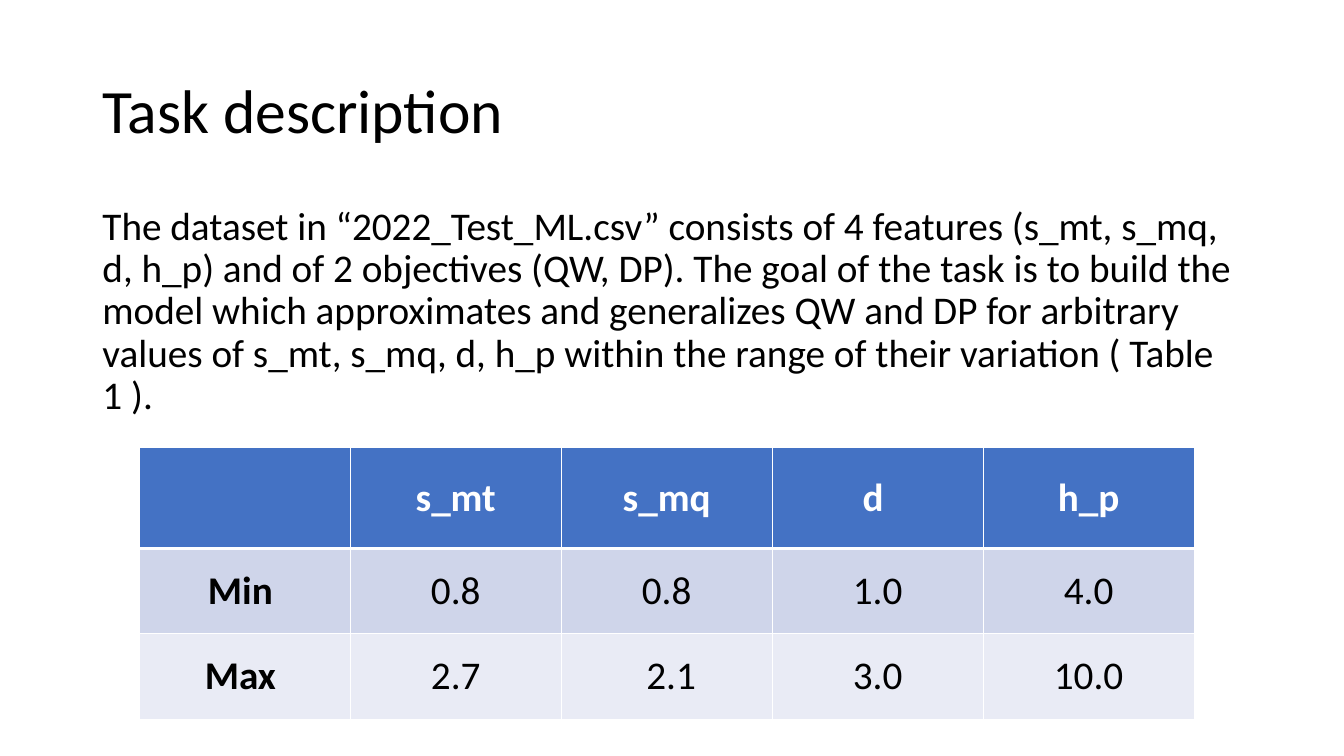
from dataclasses import dataclass

from lxml import etree
from pptx import Presentation
from pptx.dml.color import RGBColor
from pptx.enum import text
from pptx.oxml import ns
from pptx.util import Pt


@dataclass(frozen=True)
class Theme:
    font: str = "Calibri"
    title_size: int = 44
    body_size: int = 28
    dark: str = "000000"
    light: str = "FFFFFF"
    header: str = "4472C4"
    bands: tuple = ("CFD5EA", "E9EBF5")


THEME = Theme()
DESCRIPTION = (
    "The dataset in “2022_Test_ML.csv” consists of 4 features (s_mt, s_mq, d, h_p) "
    "and of 2 objectives (QW, DP). The goal of the task is to build the model which "
    "approximates and generalizes QW and DP for arbitrary values of s_mt, s_mq, d, h_p "
    "within the range of their variation ( Table 1 )."
)
RANGES = [
    ["", "s_mt", "s_mq", "d ", "h_p"],
    ["Min ", "0.8", "0.8", "1.0", "4.0"],
    ["Max ", "2.7", " 2.1", "3.0", "10.0"],
]


def set_font(para, size, color, bold=False):
    font = para.font
    font.name, font.size, font.bold = THEME.font, Pt(size), bold
    font.color.rgb = RGBColor.from_string(color)


def fill_placeholder(holder, box, words, size, anchor):
    """Place a title or body placeholder and set its one paragraph."""
    holder.left, holder.top, holder.width, holder.height = map(Pt, box)
    frame = holder.text_frame
    frame.text = words
    frame.word_wrap = True
    frame.auto_size = text.MSO_AUTO_SIZE.NONE
    frame.vertical_anchor = anchor
    para = frame.paragraphs[0]
    para.alignment = text.PP_ALIGN.LEFT
    para.line_spacing = 0.9
    set_font(para, size, THEME.dark)
    return para


def add_title(page, box):
    fill_placeholder(page.shapes.title, box, "Task description",
                     THEME.title_size, text.MSO_ANCHOR.MIDDLE)


def add_description(page, box):
    para = fill_placeholder(page.placeholders[1], box, DESCRIPTION,
                            THEME.body_size, text.MSO_ANCHOR.TOP)
    para.space_before = Pt(10)
    # Plain paragraph: no bullet and no hanging indent
    properties = para._p.get_or_add_pPr()
    properties.set("marL", "0")
    properties.set("indent", "0")
    etree.SubElement(properties, ns.qn("a:buNone"))


def set_borders(cell, top, bottom):
    properties = cell._tc.get_or_add_tcPr()
    for side, width in (("L", 1), ("R", 1), ("T", top), ("B", bottom)):
        line = etree.SubElement(properties, ns.qn(f"a:ln{side}"), w=str(Pt(width)))
        fill = etree.SubElement(line, ns.qn("a:solidFill"))
        etree.SubElement(fill, ns.qn("a:srgbClr"), val=THEME.light)


def add_ranges_table(page, box, header_height):
    left, top, width, height = box
    row_count, column_count = len(RANGES), len(RANGES[0])
    table = page.shapes.add_table(row_count, column_count, *map(Pt, box)).table
    for column in table.columns:
        column.width = Pt(width / column_count)
    row_height = (height - header_height) / (row_count - 1)

    for r, values in enumerate(RANGES):
        is_header = r == 0
        table.rows[r].height = Pt(header_height if is_header else row_height)
        background = THEME.header if is_header else THEME.bands[(r - 1) % 2]
        for c, value in enumerate(values):
            cell = table.cell(r, c)
            set_borders(cell, top=3 if r == 1 else 1, bottom=3 if is_header else 1)
            cell.fill.solid()
            cell.fill.fore_color.rgb = RGBColor.from_string(background)
            cell.vertical_anchor = text.MSO_ANCHOR.MIDDLE
            cell.text = value
            para = cell.text_frame.paragraphs[0]
            para.alignment = text.PP_ALIGN.CENTER
            set_font(para, THEME.body_size, THEME.light if is_header else THEME.dark,
                     bold=is_header or c == 0)


def build_task_slide(deck):
    page = deck.slides.add_slide(deck.slide_layouts[1])
    add_title(page, (66, 28.75, 828, 104.4))
    add_description(page, (66, 143.75, 828, 342.6))
    add_ranges_table(page, (99.5, 319.3, 753.5, 194.5), header_height=72.5)


def main():
    deck = Presentation()
    deck.slide_width, deck.slide_height = Pt(960), Pt(540)
    build_task_slide(deck)
    deck.save("out.pptx")


if __name__ == "__main__":
    main()
